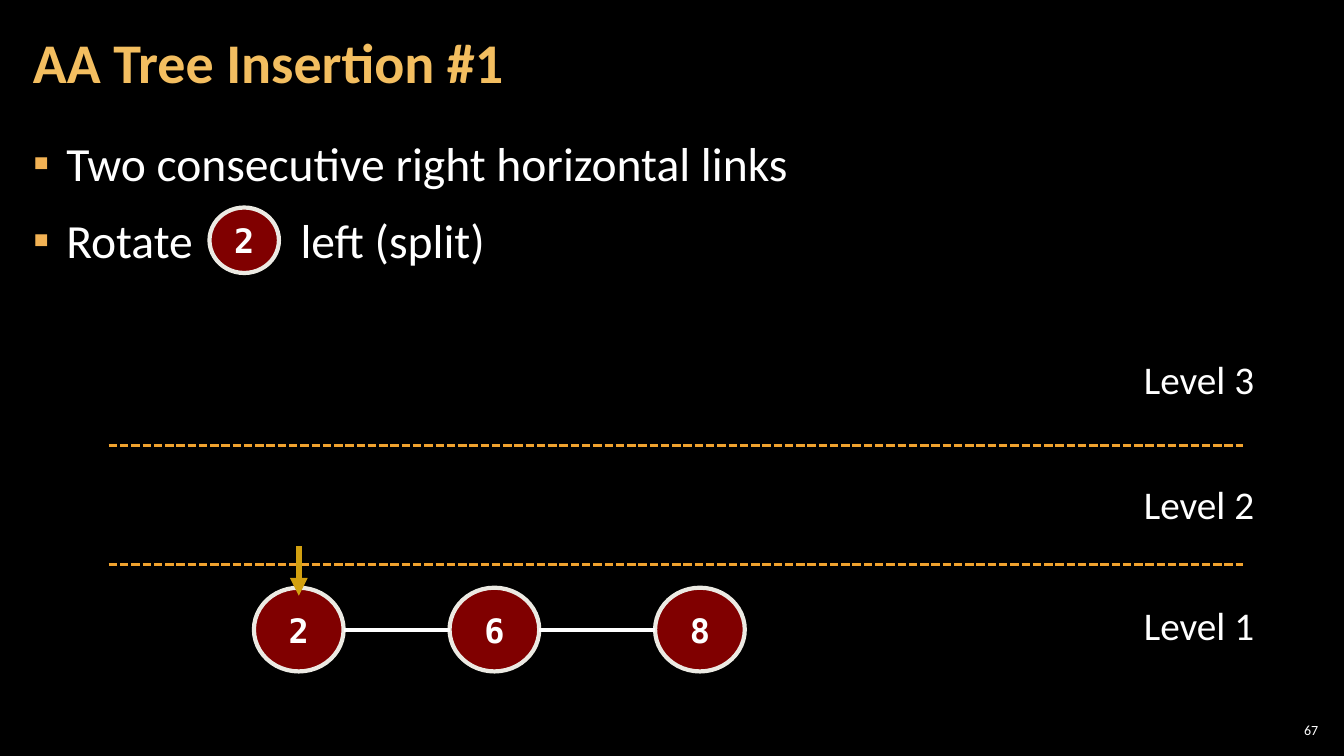
import pptx
import pptx.dml.color
import pptx.enum.dml
import pptx.enum.shapes
import pptx.enum.text
import pptx.oxml.ns
import pptx.util
from lxml import etree

Cm = pptx.util.Cm
Pt = pptx.util.Pt
ALIGN = pptx.enum.text.PP_ALIGN
ANCHOR = pptx.enum.text.MSO_ANCHOR
DASH = pptx.enum.dml.MSO_LINE
qn = pptx.oxml.ns.qn

COLORS = {
    "background": "000000",
    "text": "FFFFFF",
    "title": "F3BE60",
    "bullet": "F2B254",
    "level": "F0A22E",
    "node": "FF0000",
    "outline": "ECEAE3",
    "arrow": "D2A010",
}
RGB = {name: pptx.dml.color.RGBColor.from_string(value) for name, value in COLORS.items()}


def style_text(paragraph, size, color="text", font="Calibri", bold=False):
    paragraph.font.size = Pt(size)
    paragraph.font.name = font
    paragraph.font.bold = bold
    paragraph.font.color.rgb = RGB[color]


def add_line(x1, y1, x2, y2, color, width):
    line = slide.shapes.add_connector(
        pptx.enum.shapes.MSO_CONNECTOR.STRAIGHT, Cm(x1), Cm(y1), Cm(x2), Cm(y2))
    line.line.color.rgb = RGB[color]
    line.line.width = Pt(width)
    etree.SubElement(line._element.spPr, qn("a:effectLst"))
    return line


presentation = pptx.Presentation()
presentation.slide_width = Cm(33.87)
presentation.slide_height = Cm(19.05)
slide = presentation.slides.add_slide(presentation.slide_layouts[1])
slide.background.fill.solid()
slide.background.fill.fore_color.rgb = RGB["background"]

# Title and bullets
title = slide.shapes.title
body = slide.placeholders[1]
for placeholder, box, anchor in (
    (title, (0.53, 0.1, 26.59, 3.07), ANCHOR.MIDDLE),
    (body, (0.53, 3.2, 32.79, 15.47), ANCHOR.TOP),
):
    placeholder.left, placeholder.top, placeholder.width, placeholder.height = map(Cm, box)
    frame = placeholder.text_frame
    frame.margin_left = frame.margin_right = Cm(0.3)
    frame.margin_top = frame.margin_bottom = Cm(0.1)
    frame.vertical_anchor = anchor
    frame.auto_size = pptx.enum.text.MSO_AUTO_SIZE.NONE

title.text_frame.text = "AA Tree Insertion #1"
heading = title.text_frame.paragraphs[0]
heading.alignment = ALIGN.LEFT
heading.line_spacing = 0.9
style_text(heading, 40, "title", bold=True)

body.text_frame.text = "Two consecutive right horizontal links"
rotate = body.text_frame.add_paragraph()
for part in ("Rotate", " ", "left (split)"):
    rotate.add_run().text = part
# Widen the single space to leave room for the inline node
rotate.runs[1].font._element.set("spc", "6920")

for paragraph in body.text_frame.paragraphs:
    paragraph.line_spacing = 1.05
    paragraph.space_before = paragraph.space_after = Pt(6)
    properties = paragraph._p.get_or_add_pPr()
    properties.set("marL", str(Cm(0.84)))
    properties.set("indent", str(-Cm(0.84)))
    bullet_color = etree.SubElement(properties, qn("a:buClr"))
    etree.SubElement(bullet_color, qn("a:srgbClr"), val=COLORS["bullet"])
    etree.SubElement(properties, qn("a:buChar"), char="▪")
    style_text(paragraph, 34)

# Level separators and labels
for y in (14.22, 11.23):
    separator = add_line(2.74, y, 31.32, y, "level", 2)
    separator.line.dash_style = DASH.SQUARE_DOT

for level, top in ((1, 15.04), (2, 11.99), (3, 8.84)):
    label = slide.shapes.add_textbox(Cm(28.58), Cm(top), Cm(3.33), Cm(1.45))
    label.text_frame.word_wrap = False
    label.text_frame.text = f"Level {level}"
    style_text(label.text_frame.paragraphs[0], 28)

# Tree nodes, the last one inline in the second bullet
NODE_TOP, NODE_WIDTH, NODE_HEIGHT = 14.81, 2.26, 2.11
NODE_LEFTS = {"2": 6.4, "6": 11.33, "8": 16.51}
nodes = [(key, left, NODE_TOP, NODE_WIDTH, NODE_HEIGHT) for key, left in NODE_LEFTS.items()]
nodes.append(("2", 5.28, 5.23, 1.75, 1.65))
for key, *box in nodes:
    node = slide.shapes.add_shape(pptx.enum.shapes.MSO_SHAPE.OVAL, *map(Cm, box))
    node.shadow.inherit = False
    node.fill.solid()
    node.fill.fore_color.rgb = RGB["node"]
    fill_color = node._element.spPr.find(qn("a:solidFill")).find(qn("a:srgbClr"))
    etree.SubElement(fill_color, qn("a:alpha"), val="50000")
    node.line.color.rgb = RGB["outline"]
    node.line.width = Pt(3)
    node.text_frame.word_wrap = False
    node.text_frame.vertical_anchor = ANCHOR.MIDDLE
    node.text_frame.text = key
    node.text_frame.paragraphs[0].alignment = ALIGN.CENTER
    style_text(node.text_frame.paragraphs[0], 24, font="DejaVu Sans Mono", bold=True)

# Horizontal links and the arrow marking the node to rotate
lefts = list(NODE_LEFTS.values())
link_y = NODE_TOP + NODE_HEIGHT / 2
for left, right in zip(lefts, lefts[1:]):
    add_line(right, link_y, left + NODE_WIDTH, link_y, "text", 3)

arrow_x = lefts[0] + NODE_WIDTH / 2
arrow = add_line(arrow_x, 13.77, arrow_x, 15.01, "arrow", 4.25)
etree.SubElement(arrow.line._get_or_add_ln(), qn("a:tailEnd"), type="triangle")

# Slide number
number = slide.shapes.add_textbox(Cm(32.13), Cm(18.14), Cm(1.19), Cm(0.53))
frame = number.text_frame
frame.margin_left = frame.margin_right = frame.margin_top = frame.margin_bottom = Cm(0.1)
frame.vertical_anchor = ANCHOR.MIDDLE
frame.word_wrap = True
frame.text = "67"
frame.paragraphs[0].alignment = ALIGN.RIGHT
style_text(frame.paragraphs[0], 10)

presentation.save("out.pptx")
